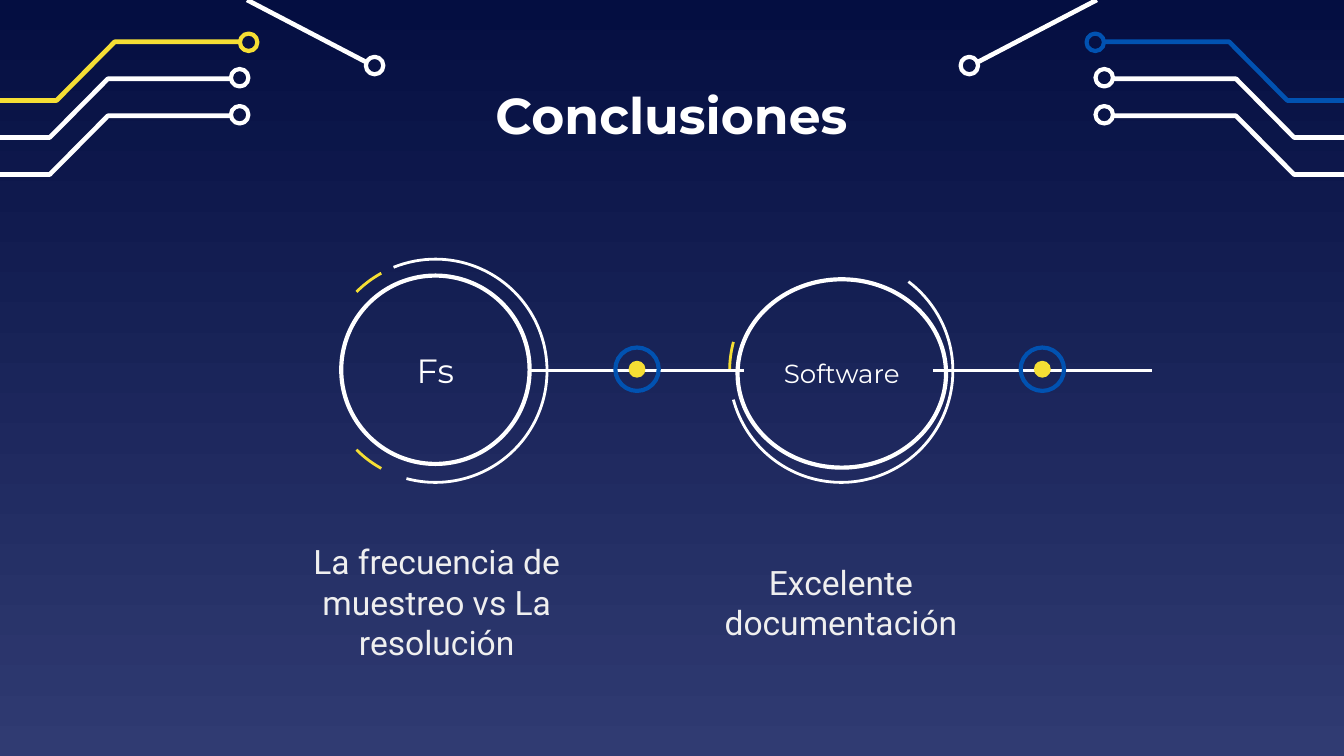
from dataclasses import dataclass

from lxml import etree
from pptx import Presentation
from pptx import util as u
from pptx.dml.color import RGBColor
from pptx.enum import shapes, text
from pptx.oxml.ns import qn

Cm, Pt = u.Cm, u.Pt
WIDTH = 25.4


@dataclass(frozen=True)
class Theme:
    top: str = "040E41"
    bottom: str = "303B72"
    white: str = "FFFFFF"
    soft: str = "EFEFEF"
    yellow: str = "F5DE34"
    blue: str = "0152B1"
    heading: str = "Montserrat"
    body: str = "Roboto"
    title_size: int = 27
    large_size: int = 18
    small_size: int = 14
    thick: float = 2.25
    thin: float = 1.5


theme = Theme()


def outline(shape, colour, weight):
    shape.shadow.inherit = False
    shape.fill.background()
    shape.line.color.rgb = RGBColor.from_string(colour)
    shape.line.width = Pt(weight)


def write(shape, words, font, size, colour, bold=False):
    frame = shape.text_frame
    frame.word_wrap = True
    frame.auto_size = text.MSO_AUTO_SIZE.NONE
    frame.vertical_anchor = text.MSO_ANCHOR.MIDDLE
    para = frame.paragraphs[0]
    para.alignment = text.PP_ALIGN.CENTER
    span = para.add_run()
    span.text = words
    span.font.name = font
    span.font.size = Pt(size)
    span.font.bold = bold
    span.font.color.rgb = RGBColor.from_string(colour)


deck = Presentation()
deck.slide_width, deck.slide_height = Cm(WIDTH), Cm(14.29)
page = deck.slides.add_slide(deck.slide_layouts[5])

backdrop = page.background.fill
backdrop.gradient()
backdrop.gradient_angle = 270
for stop, colour in zip(backdrop.gradient_stops, (theme.top, theme.bottom)):
    stop.color.rgb = RGBColor.from_string(colour)

title = page.shapes.title
title.left, title.top, title.width, title.height = Cm(5.72), Cm(1.5), Cm(13.94), Cm(1.32)
write(title, "Conclusiones", theme.heading, theme.title_size, theme.white, True)

ring_size = 0.33
for mirrored, accent in ((False, theme.yellow), (True, theme.blue)):
    traces = [
        (accent, [(0, 1.9), (1.07, 1.9), (2.17, 0.79), (4.52, 0.79)], (4.7, 0.8)),
        (theme.white, [(0, 2.6), (0.94, 2.6), (2.04, 1.49), (4.36, 1.49)], (4.53, 1.47)),
        (theme.white, [(0, 3.3), (0.94, 3.3), (2.04, 2.19), (4.36, 2.19)], (4.53, 2.17)),
        (theme.white, [(4.67, 0), (6.95, 1.19)], (7.08, 1.24)),
    ]
    for colour, points, (ring_x, ring_y) in traces:
        if mirrored:
            points = [(WIDTH - x, y) for x, y in points]
            ring_x = WIDTH - ring_x
        corners = [(Cm(x), Cm(y)) for x, y in points]
        builder = page.shapes.build_freeform(*corners[0])
        builder.add_line_segments(corners[1:], close=False)
        outline(builder.convert_to_shape(), colour, 2.5)
        ring = page.shapes.add_shape(
            shapes.MSO_SHAPE.OVAL,
            Cm(ring_x - ring_size / 2), Cm(ring_y - ring_size / 2), Cm(ring_size), Cm(ring_size),
        )
        outline(ring, colour, theme.thick)

topics = [
    ("Fs", theme.large_size, (6.45, 5.21, 3.56, 3.56)),
    ("Software", theme.small_size, (13.94, 5.28, 3.94, 3.56)),
]
for label, size, place in topics:
    circle = page.shapes.add_shape(shapes.MSO_SHAPE.OVAL, *map(Cm, place))
    outline(circle, theme.white, theme.thick)
    write(circle, label, theme.heading, size, theme.white)

radius, axis = 2.11, 7.01
arcs = [
    (8.23, 248, 105, theme.white),
    (8.23, 225, 241, theme.yellow),
    (8.23, 119, 135, theme.yellow),
    (15.9, 307, 165, theme.white),
    (15.9, 180, 195, theme.yellow),
]
for centre, start, end, colour in arcs:
    arc = page.shapes.add_shape(
        shapes.MSO_SHAPE.ARC,
        Cm(centre - radius), Cm(axis - radius), Cm(2 * radius), Cm(2 * radius),
    )
    arc.adjustments[0] = start * 0.6
    arc.adjustments[1] = end * 0.6
    outline(arc, colour, theme.thin)

for start, end, centre in ((10.03, 14.07, 12.04), (17.63, 21.77, 19.7)):
    link = page.shapes.add_connector(
        shapes.MSO_CONNECTOR.STRAIGHT, Cm(start), Cm(7), Cm(end), Cm(7)
    )
    link.line.color.rgb = RGBColor.from_string(theme.white)
    link.line.width = Pt(theme.thin)
    etree.SubElement(link._element.spPr, qn("a:effectLst"))
    for colour, size in ((theme.blue, 0.82), (theme.yellow, 0.32)):
        node = page.shapes.add_shape(
            shapes.MSO_SHAPE.OVAL,
            Cm(centre - size / 2), Cm(6.98 - size / 2), Cm(size), Cm(size),
        )
        outline(node, colour, theme.thick)
    node.fill.solid()
    node.fill.fore_color.rgb = RGBColor.from_string(theme.yellow)
    node.line.fill.background()

captions = [
    (5.36, "La frecuencia de muestreo vs La resolución"),
    (13, "Excelente documentación"),
]
for left, words in captions:
    box = page.shapes.add_textbox(Cm(left), Cm(10.64), Cm(5.79), Cm(1.47))
    write(box, words, theme.body, theme.large_size, theme.soft)

deck.save("out.pptx")
